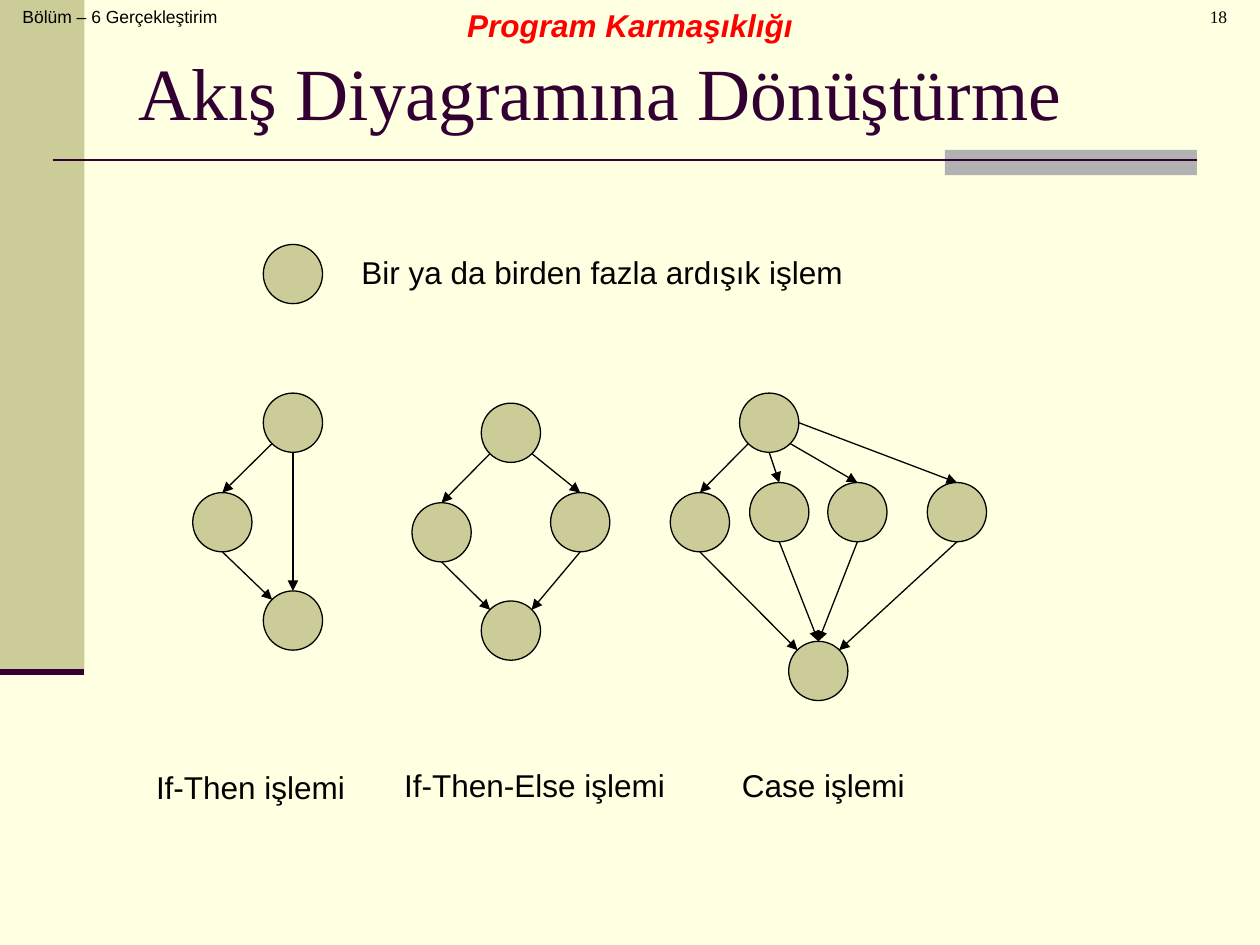
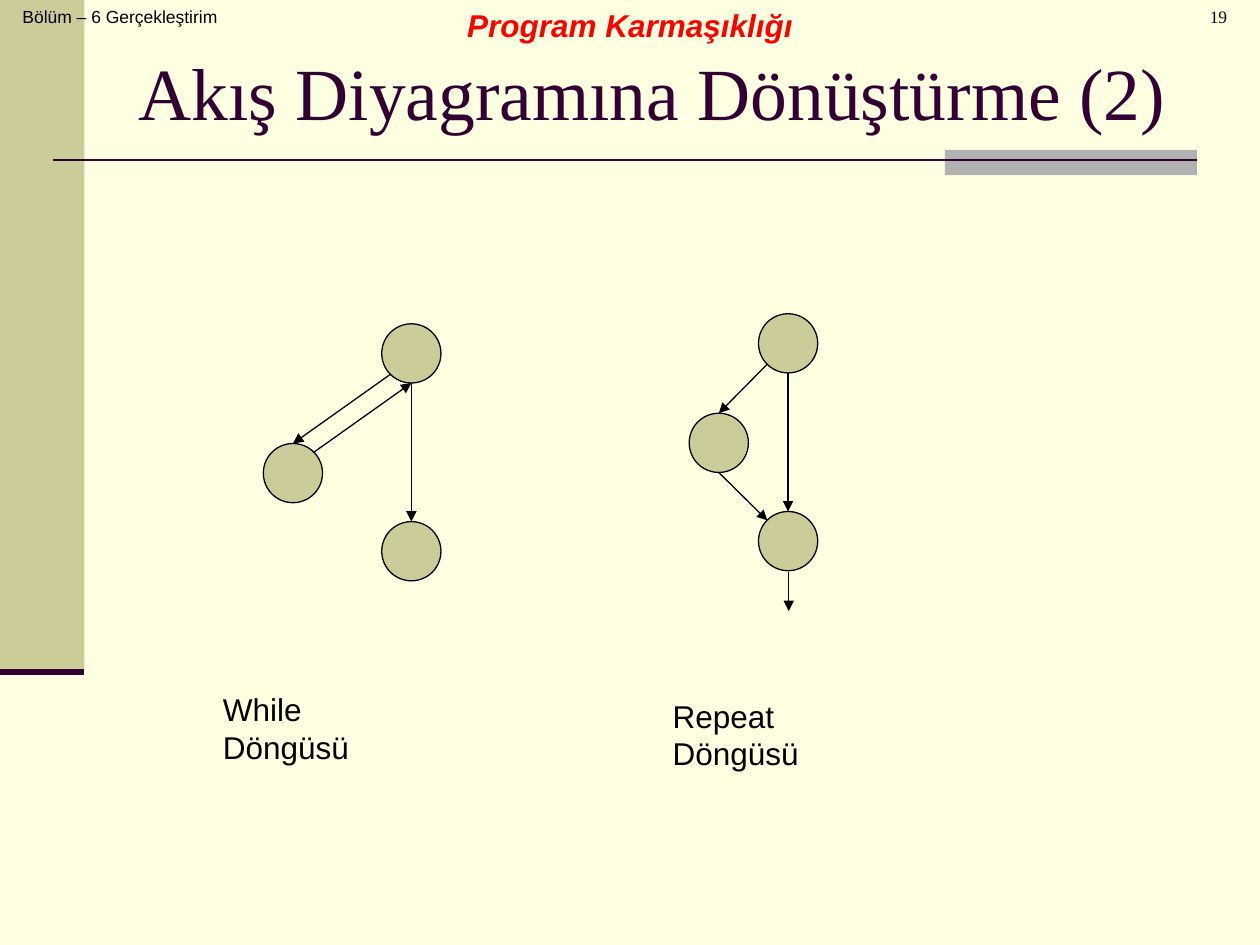
from dataclasses import dataclass

from lxml import etree
from pptx import Presentation
from pptx.dml.color import RGBColor
from pptx.enum.shapes import MSO_CONNECTOR, MSO_SHAPE
from pptx.enum.text import MSO_ANCHOR, MSO_AUTO_SIZE, PP_ALIGN
from pptx.oxml.ns import qn
from pptx.util import Inches, Pt

STRAIGHT = MSO_CONNECTOR.STRAIGHT
RECTANGLE, OVAL = MSO_SHAPE.RECTANGLE, MSO_SHAPE.OVAL
LEFT, CENTER = PP_ALIGN.LEFT, PP_ALIGN.CENTER
MIDDLE = MSO_ANCHOR.MIDDLE
FIXED, GROW = MSO_AUTO_SIZE.NONE, MSO_AUTO_SIZE.SHAPE_TO_FIT_TEXT


@dataclass(frozen=True)
class Theme:
    paper: RGBColor = RGBColor(0xFF, 0xFF, 0xE1)
    olive: RGBColor = RGBColor(0xCC, 0xCC, 0x99)
    gray: RGBColor = RGBColor(0xB2, 0xB2, 0xB2)
    plum: RGBColor = RGBColor(0x33, 0x00, 0x33)
    ink: RGBColor = RGBColor(0x00, 0x00, 0x00)
    red: RGBColor = RGBColor(0xFF, 0x00, 0x00)
    sans: str = "Arial"
    serif: str = "Times New Roman"
    title_size: float = 42
    label_size: float = 18
    small_size: float = 10
    thin: float = 0.75


theme = Theme()


def write(frame, text, size, color, face, align=LEFT, strong=False):
    paragraph = frame.paragraphs[0]
    paragraph.alignment = align
    run = paragraph.add_run()
    run.text = text
    run.font.size = Pt(size)
    run.font.name = face
    run.font.color.rgb = color
    run.font.bold = run.font.italic = strong


def draw_line(slide, start, end, color, width, arrow=False):
    connector = slide.shapes.add_connector(
        STRAIGHT, *(Inches(v) for v in (*start, *end)))
    connector.line.color.rgb = color
    connector.line.width = Pt(width)
    if arrow:
        etree.SubElement(connector.line._get_or_add_ln(), qn("a:tailEnd"), type="triangle")
    etree.SubElement(connector._element.spPr, qn("a:effectLst"))


DIAMETER = 0.47
SITES = {
    "top": (0.5, 0), "bottom": (0.5, 1), "right": (1, 0.5),
    "upper left": (0.15, 0.15), "upper right": (0.85, 0.15),
    "lower left": (0.15, 0.85), "lower right": (0.85, 0.85),
}
LEFT_BRANCH = [
    ("start", "lower left", "left", "top"),
    ("left", "bottom", "end", "upper left"),
]
RIGHT_BRANCH = [
    ("start", "lower right", "right", "top"),
    ("right", "bottom", "end", "upper right"),
]
SKIP = [("start", "bottom", "end", "top")]
CASES = [
    ("start", "bottom", "second", "top"),
    ("second", "bottom", "end", "top"),
    ("start", "lower right", "third", "top"),
    ("third", "bottom", "end", "top"),
    ("start", "right", "fourth", "top"),
    ("fourth", "bottom", "end", "upper right"),
]
LOOP = [
    ("start", "lower left", "left", "top"),
    ("left", "upper right", "start", "bottom"),
]

PAGES = [
    (18, "Akış Diyagramına Dönüştürme", [
        ("Bir ya da birden fazla ardışık işlem", (2.77, 1.96, 4.02),
         {"step": (2.09, 1.94)}, []),
        ("If-Then işlemi", (1.14, 6.05, 1.7),
         {"start": (2.09, 3.12), "left": (1.53, 3.91), "end": (2.09, 4.69)},
         LEFT_BRANCH + SKIP),
        ("If-Then-Else işlemi", (3.11, 6.03, 2.27),
         {"start": (3.82, 3.2), "left": (3.27, 3.99),
          "right": (4.37, 3.91), "end": (3.82, 4.77)},
         LEFT_BRANCH + RIGHT_BRANCH),
        ("Case işlemi", (5.79, 6.03, 1.49),
         {"start": (5.87, 3.12), "left": (5.32, 3.91), "second": (5.95, 3.83),
          "third": (6.57, 3.83), "fourth": (7.36, 3.83), "end": (6.26, 5.09)},
         LEFT_BRANCH + CASES),
    ]),
    (19, "Akış Diyagramına Dönüştürme (2)", [
        ("While Döngüsü", (1.67, 5.43, 1.89),
         {"start": (3.03, 2.57), "left": (2.09, 3.52), "end": (3.03, 4.14)},
         LOOP + SKIP),
        ("Repeat Döngüsü", (5.24, 5.48, 2.07),
         {"start": (6.02, 2.49), "left": (5.47, 3.28), "end": (6.02, 4.06)},
         LEFT_BRANCH + SKIP),
    ]),
]
BANDS = [((0, 0, 0.67, 5.33), theme.olive), ((7.5, 1.19, 2, 0.2), theme.gray)]
RULES = [((0.42, 1.27), (9.5, 1.27), 1.5), ((0, 5.33), (0.67, 5.33), 3.5)]

prs = Presentation()
prs.slide_width, prs.slide_height = Inches(10), Inches(7.5)
paper = prs.slide_master.background.fill
paper.solid()
paper.fore_color.rgb = theme.paper

for number, heading, graphs in PAGES:
    slide = prs.slides.add_slide(prs.slide_layouts[5])

    for place, color in BANDS:
        band = slide.shapes.add_shape(RECTANGLE, *(Inches(v) for v in place))
        band.shadow.inherit = False
        band.fill.solid()
        band.fill.fore_color.rgb = color
        band.line.fill.background()
    for start, end, width in RULES:
        draw_line(slide, start, end, theme.plum, width)

    title = slide.shapes.title
    title.left, title.top, title.width, title.height = (
        Inches(v) for v in (1, 0.3, 8.5, 0.85))
    title.text_frame.word_wrap = True
    title.text_frame.auto_size = FIXED
    title.text_frame.vertical_anchor = MIDDLE
    write(title.text_frame, heading, theme.title_size, theme.plum, theme.serif)

    chapter = slide.shapes.add_textbox(Inches(0.08), 0, Inches(1.85), Inches(0.5)).text_frame
    chapter.word_wrap = True
    write(chapter, "Bölüm – 6 Gerçekleştirim", theme.small_size, theme.ink, theme.sans)

    for label, (label_x, label_y, label_width), nodes, edges in graphs:
        for x, y in nodes.values():
            circle = slide.shapes.add_shape(
                OVAL, *(Inches(v) for v in (x, y, DIAMETER, DIAMETER)))
            circle.shadow.inherit = False
            circle.fill.solid()
            circle.fill.fore_color.rgb = theme.olive
            circle.line.color.rgb = theme.ink
            circle.line.width = Pt(theme.thin)
        for source, exit_site, target, entry_site in edges:
            start, end = (
                [corner + DIAMETER * share for corner, share in zip(nodes[node], SITES[site])]
                for node, site in ((source, exit_site), (target, entry_site)))
            draw_line(slide, start, end, theme.ink, theme.thin, arrow=True)
        caption = slide.shapes.add_textbox(
            *(Inches(v) for v in (label_x, label_y, label_width, 0.4))).text_frame
        caption.word_wrap = False
        caption.auto_size = GROW
        write(caption, label, theme.label_size, theme.ink, theme.sans)

    topic = slide.shapes.add_textbox(Inches(2.56), 0, Inches(4.88), Inches(0.4)).text_frame
    topic.word_wrap = True
    topic.auto_size = GROW
    write(topic, "Program Karmaşıklığı", theme.label_size, theme.red, theme.sans, CENTER, True)

    page_number = slide.shapes.add_textbox(
        Inches(9.06), 0, Inches(0.98), Inches(0.5)).text_frame
    page_number.word_wrap = True
    page_number.margin_left = Inches(0.34)
    write(page_number, str(number), theme.small_size, theme.ink, theme.serif, CENTER)

draw_line(prs.slides[1], (6.26, 4.54), (6.26, 4.85), theme.ink, theme.thin, arrow=True)

prs.save("out.pptx")
